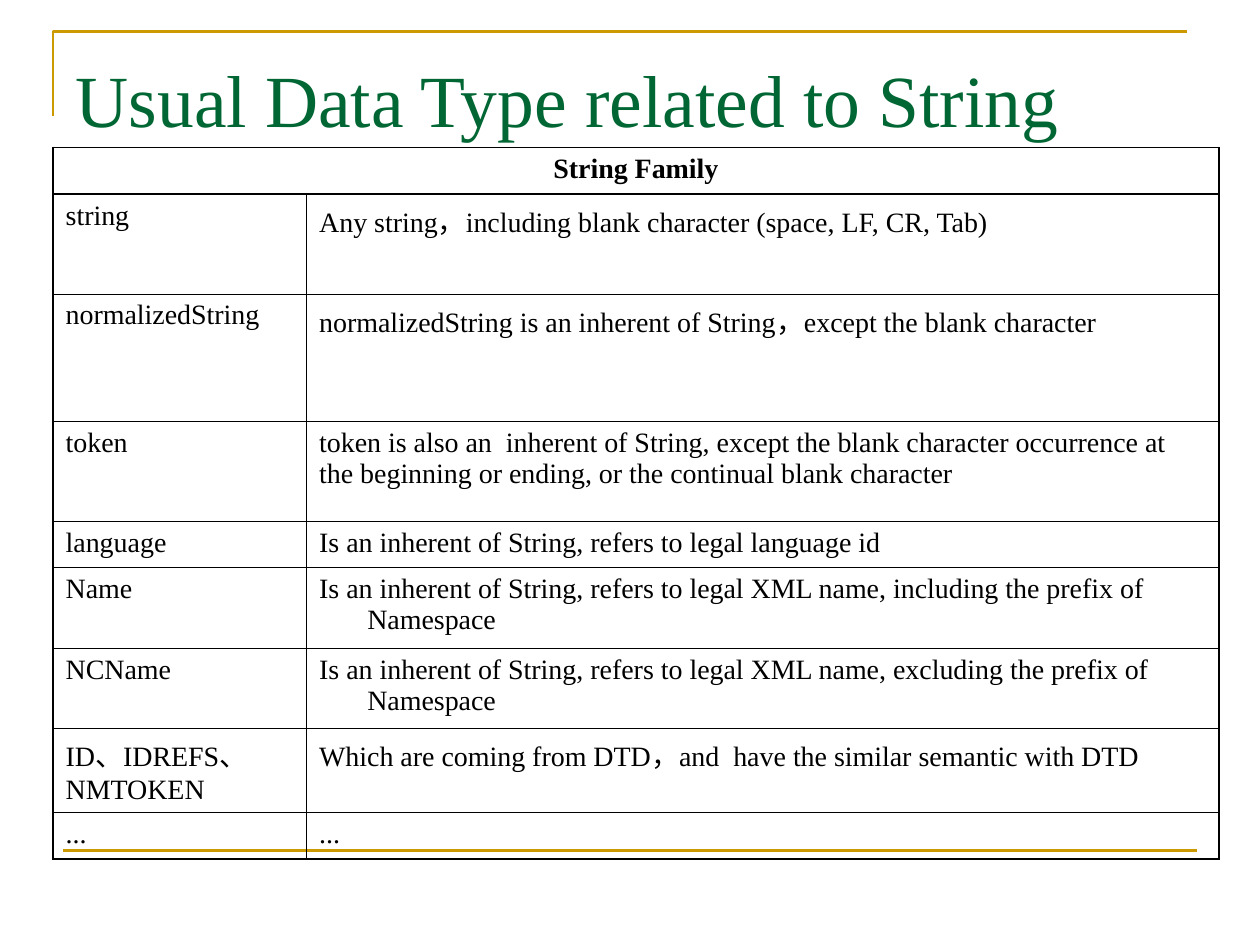
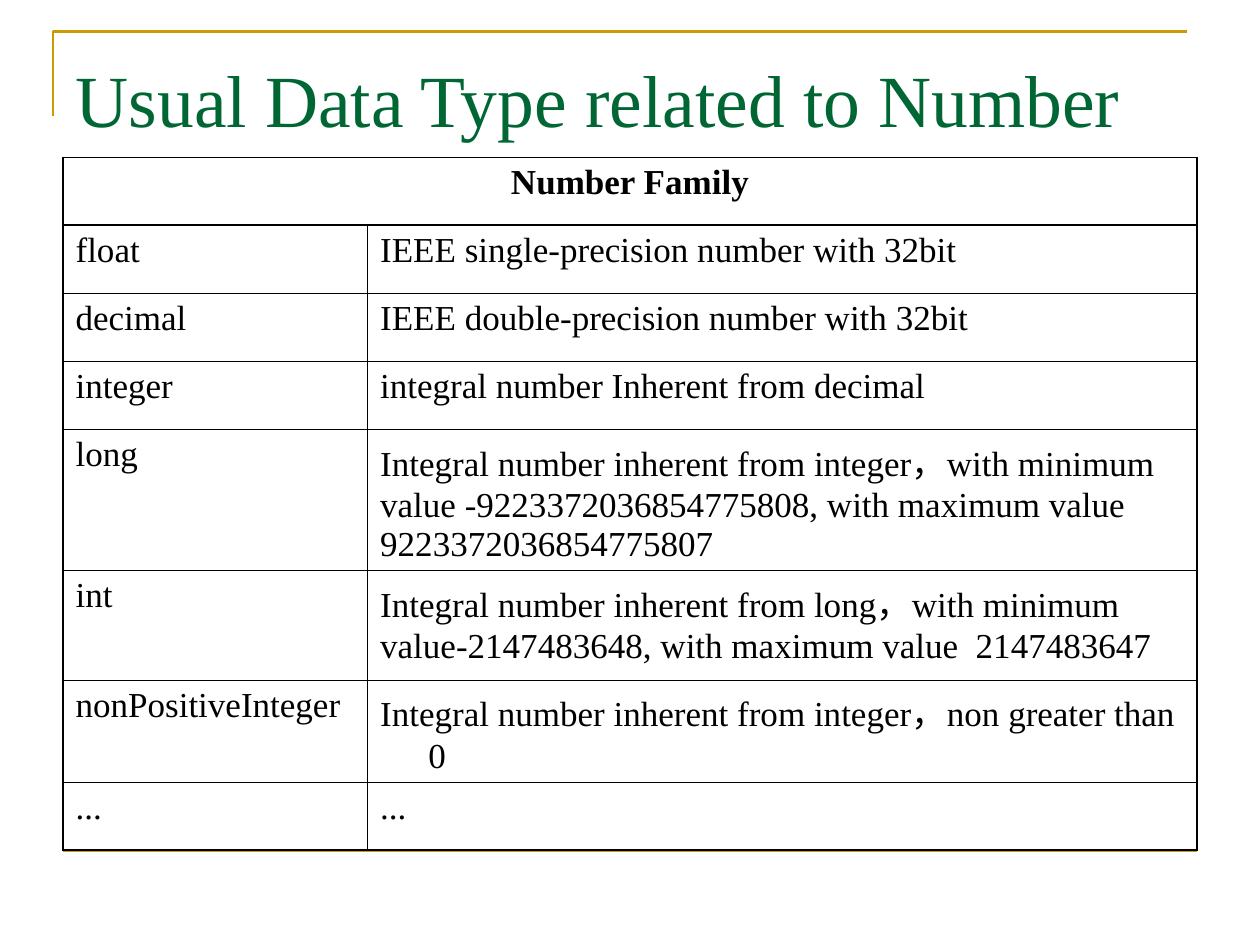
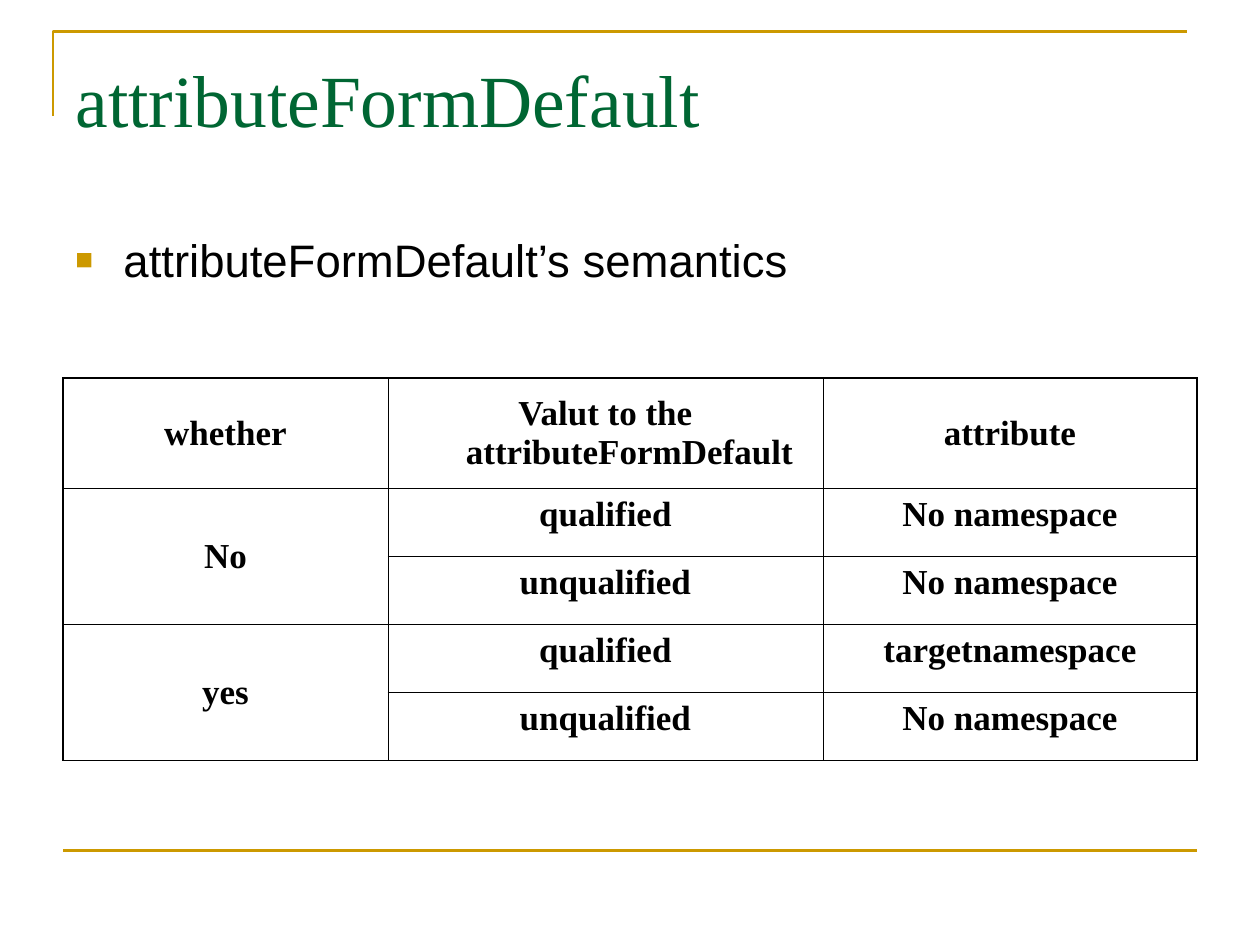
from dataclasses import dataclass

from lxml import etree
from pptx import Presentation
from pptx.dml.color import RGBColor
from pptx.enum.text import MSO_ANCHOR as Anchor, MSO_AUTO_SIZE as AutoSize, PP_ALIGN as Align
from pptx.enum.shapes import MSO_CONNECTOR as Connector
from pptx.oxml.ns import qn
from pptx.util import Cm, Pt

GREEN = RGBColor(0x00, 0x66, 0x33)
GOLD = RGBColor(0xCC, 0x99, 0x00)
BLACK = RGBColor(0x00, 0x00, 0x00)
SERIF = "Times New Roman"
SANS = "Arial"
HANGING = Cm(0.97)
OUTER_WIDTH = Pt(0.96)
RULE_WIDTH = Pt(1.5)


@dataclass(frozen=True)
class Entry:
    text: str
    hanging: bool = True
    centred: bool = False
    bold: bool = False
    middle: bool = False


@dataclass(frozen=True)
class Region:
    top: int
    left: int
    bottom: int
    right: int

    def holds(self, row: int, column: int) -> bool:
        return self.top <= row <= self.bottom and self.left <= column <= self.right


@dataclass(frozen=True)
class Grid:
    left: float
    top: float
    widths: tuple[float, ...]
    heights: tuple[float, ...]
    rows: tuple[tuple[Entry | None, ...], ...]
    merges: tuple[Region, ...]
    font_size: int
    inner_width: int
    thick_header: bool


def flat(text: str) -> Entry:
    return Entry(text, hanging=False)


def heading(text: str, hanging: bool = True, middle: bool = False) -> Entry:
    return Entry(text, hanging, centred=True, bold=True, middle=middle)


def family(title: str, pairs: tuple[tuple[str, str | Entry], ...]) -> tuple:
    body = tuple(
        (Entry(name), meaning if isinstance(meaning, Entry) else Entry(meaning))
        for name, meaning in pairs
    )
    return ((heading(title), None), *body)


STRING_GRID = Grid(
    left=1.07,
    top=2.97,
    widths=(5.11, 18.39),
    heights=(0.94, 2.01, 2.57, 2.01, 0.94, 1.62, 1.62, 1.62, 0.94),
    rows=family("String Family", (
        ("string", flat("Any string，including blank character (space, LF, CR, Tab)")),
        ("normalizedString",
         flat("normalizedString is an inherent of String，except the blank character")),
        ("token",
         flat("token is also an  inherent of String, except the blank character occurrence "
              "at the beginning or ending, or the continual blank character")),
        ("language", "Is an inherent of String, refers to legal language id"),
        ("Name", "Is an inherent of String, refers to legal XML name, "
                 "including the prefix of Namespace"),
        ("NCName", "Is an inherent of String, refers to legal XML name, "
                   "excluding the prefix of Namespace"),
        ("ID、IDREFS、\nNMTOKEN",
         flat("Which are coming from DTD，and  have the similar semantic with DTD")),
        ("...", "..."),
    )),
    merges=(Region(0, 0, 0, 1),),
    font_size=16,
    inner_width=Pt(0.06),
    thick_header=True,
)

NUMBER_GRID = Grid(
    left=1.27,
    top=3.17,
    widths=(6.14, 16.72),
    heights=(1.37, 1.37, 1.37, 1.37, 2.8, 2.21, 1.96, 1.37),
    rows=family("Number Family", (
        ("float", "IEEE single-precision number with 32bit"),
        ("decimal", "IEEE double-precision number with 32bit"),
        ("integer", "integral number Inherent from decimal"),
        ("long",
         flat("Integral number inherent from integer，with minimum value "
              "-9223372036854775808, with maximum value 9223372036854775807")),
        ("int",
         flat("Integral number inherent from long，with minimum value-2147483648, "
              "with maximum value  2147483647")),
        ("nonPositiveInteger", "Integral number inherent from integer，non greater than 0"),
        ("...", "..."),
    )),
    merges=(Region(0, 0, 0, 1),),
    font_size=20,
    inner_width=Pt(0.06),
    thick_header=True,
)

FORM_GRID = Grid(
    left=1.27,
    top=7.62,
    widths=(6.55, 8.77, 7.54),
    heights=(2.23, 1.37, 1.37, 1.37, 1.37),
    rows=(
        (heading("whether", hanging=False, middle=True),
         heading("Valut to the attributeFormDefault", middle=True),
         heading("attribute", middle=True)),
        (heading("No", middle=True), heading("qualified"), heading("No namespace")),
        (None, heading("unqualified"), heading("No namespace")),
        (heading("yes", middle=True), heading("qualified"), heading("targetnamespace")),
        (None, heading("unqualified"), heading("No namespace")),
    ),
    merges=(Region(1, 0, 2, 0), Region(3, 0, 4, 0)),
    font_size=20,
    inner_width=Pt(0.45),
    thick_header=False,
)


def format_font(para, name: str, size: int, colour: RGBColor, bold: bool = False) -> None:
    for span in para.runs:
        span.font.name = name
        span.font.size = Pt(size)
        span.font.color.rgb = colour
        span.font.bold = bold


def set_hanging(para) -> None:
    properties = para._p.get_or_add_pPr()
    properties.set("marL", str(HANGING))
    properties.set("indent", str(-HANGING))


def add_bullet(para, char: str, colour: RGBColor, percent: int) -> None:
    properties = para._p.get_or_add_pPr()
    tint = etree.SubElement(properties, qn("a:buClr"))
    etree.SubElement(tint, qn("a:srgbClr"), val=str(colour))
    etree.SubElement(properties, qn("a:buSzPct"), val=str(percent * 1000))
    etree.SubElement(properties, qn("a:buFont"), typeface=SANS)
    etree.SubElement(properties, qn("a:buChar"), char=char)


def add_frame_lines(page) -> None:
    left, top = Cm(1.07), Cm(0.64)
    builder = page.shapes.build_freeform(left, Cm(2.33))
    builder.add_line_segments([(left, top), (Cm(23.93), top)], close=False)
    corner = builder.convert_to_shape()
    corner.shadow.inherit = False
    corner.fill.background()
    rule = page.shapes.add_connector(
        Connector.STRAIGHT, Cm(1.27), Cm(17.15), Cm(24.13), Cm(17.15))
    etree.SubElement(rule._element.spPr, qn("a:effectLst"))
    for shape in (corner, rule):
        shape.line.color.rgb = GOLD
        shape.line.width = RULE_WIDTH


def add_page(deck, title: str):
    page = deck.slides.add_slide(deck.slide_layouts[5])
    box = page.shapes.title
    box.left, box.top, box.width, box.height = Cm(1.27), Cm(0.76), Cm(22.86), Cm(3.18)
    frame = box.text_frame
    frame.text = title
    frame.word_wrap = True
    frame.auto_size = AutoSize.NONE
    frame.vertical_anchor = Anchor.TOP
    frame.margin_top = Cm(0.32)
    para = frame.paragraphs[0]
    para.alignment = Align.LEFT
    format_font(para, SERIF, 42, GREEN)
    add_frame_lines(page)
    return page


def set_borders(cell, grid: Grid, region: Region) -> None:
    last_row, last_column = len(grid.heights) - 1, len(grid.widths) - 1
    thick = {
        "lnL": region.left == 0,
        "lnR": region.right == last_column,
        "lnT": region.top == 0 or (grid.thick_header and region.top == 1),
        "lnB": region.bottom == last_row or (grid.thick_header and region.bottom == 0),
    }
    properties = cell._tc.get_or_add_tcPr()
    for side, is_thick in thick.items():
        width = OUTER_WIDTH if is_thick else grid.inner_width
        line = etree.SubElement(properties, qn(f"a:{side}"), w=str(width))
        fill = etree.SubElement(line, qn("a:solidFill"))
        etree.SubElement(fill, qn("a:srgbClr"), val=str(BLACK))


def fill_cell(cell, entry: Entry, font_size: int) -> None:
    cell.text_frame.text = entry.text
    cell.vertical_anchor = Anchor.MIDDLE if entry.middle else Anchor.TOP
    for para in cell.text_frame.paragraphs:
        para.alignment = Align.CENTER if entry.centred else Align.LEFT
        if entry.hanging:
            set_hanging(para)
        format_font(para, SERIF, font_size, BLACK, entry.bold)


def add_grid(page, grid: Grid) -> None:
    table = page.shapes.add_table(
        len(grid.heights), len(grid.widths), Cm(grid.left), Cm(grid.top),
        Cm(sum(grid.widths)), Cm(sum(grid.heights))).table
    table.first_row = table.horz_banding = False
    for column, width in zip(table.columns, grid.widths):
        column.width = Cm(width)
    for row, height in zip(table.rows, grid.heights):
        row.height = Cm(height)
    for merge in grid.merges:
        table.cell(merge.top, merge.left).merge(table.cell(merge.bottom, merge.right))
    for r, entries in enumerate(grid.rows):
        for c, entry in enumerate(entries):
            cell = table.cell(r, c)
            region = next((m for m in grid.merges if m.holds(r, c)), Region(r, c, r, c))
            set_borders(cell, grid, region)
            cell.fill.background()
            if entry:
                fill_cell(cell, entry, grid.font_size)


def add_bullet_text(page, text: str) -> None:
    box = page.shapes.add_textbox(Cm(1.27), Cm(4.45), Cm(22.86), Cm(1.91))
    frame = box.text_frame
    frame.word_wrap = True
    frame.margin_top = Cm(0.22)
    frame.text = text
    para = frame.paragraphs[0]
    para.alignment = Align.JUSTIFY
    set_hanging(para)
    add_bullet(para, "■", GOLD, 65)
    format_font(para, SANS, 26, BLACK)


def main() -> None:
    deck = Presentation()
    deck.slide_width, deck.slide_height = Cm(25.4), Cm(19.05)
    add_grid(add_page(deck, "Usual Data Type related to String"), STRING_GRID)
    add_grid(add_page(deck, "Usual Data Type related to Number"), NUMBER_GRID)
    page = add_page(deck, "attributeFormDefault")
    add_grid(page, FORM_GRID)
    add_bullet_text(page, "attributeFormDefault’s semantics")
    deck.save("out.pptx")


if __name__ == "__main__":
    main()
